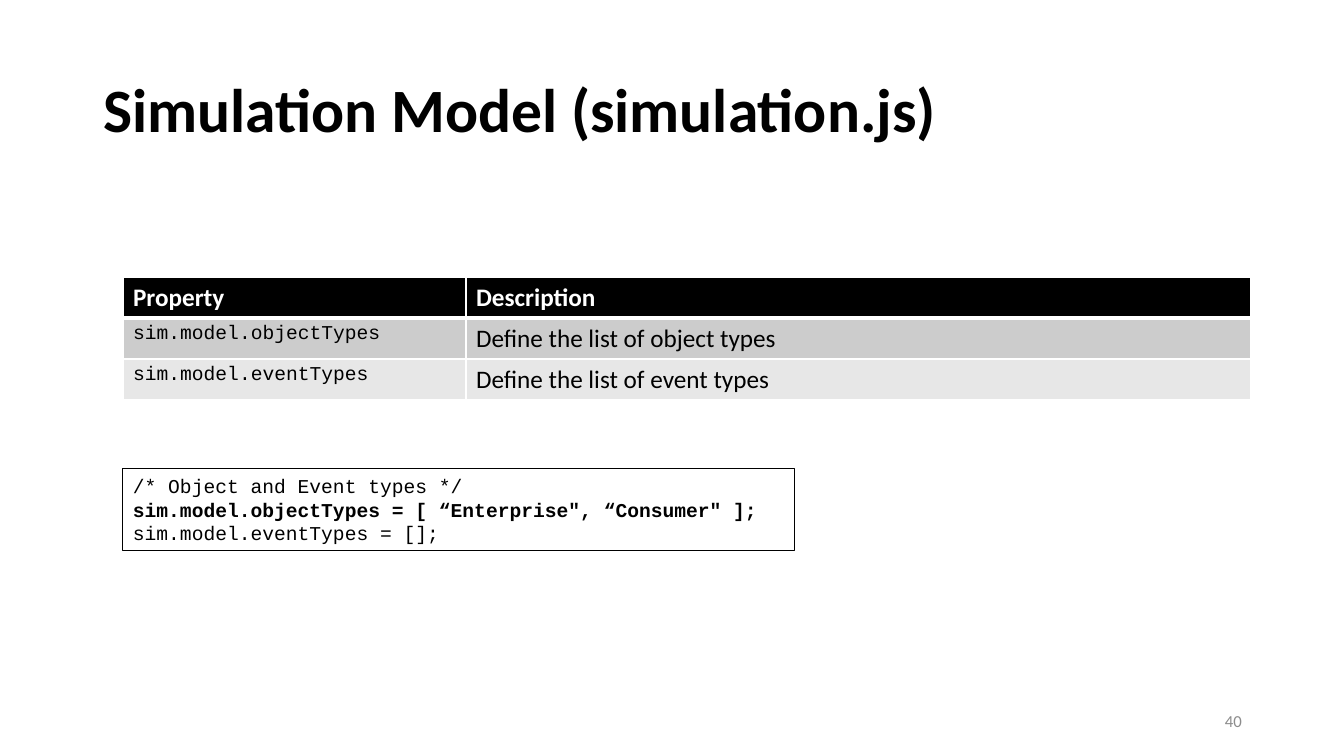
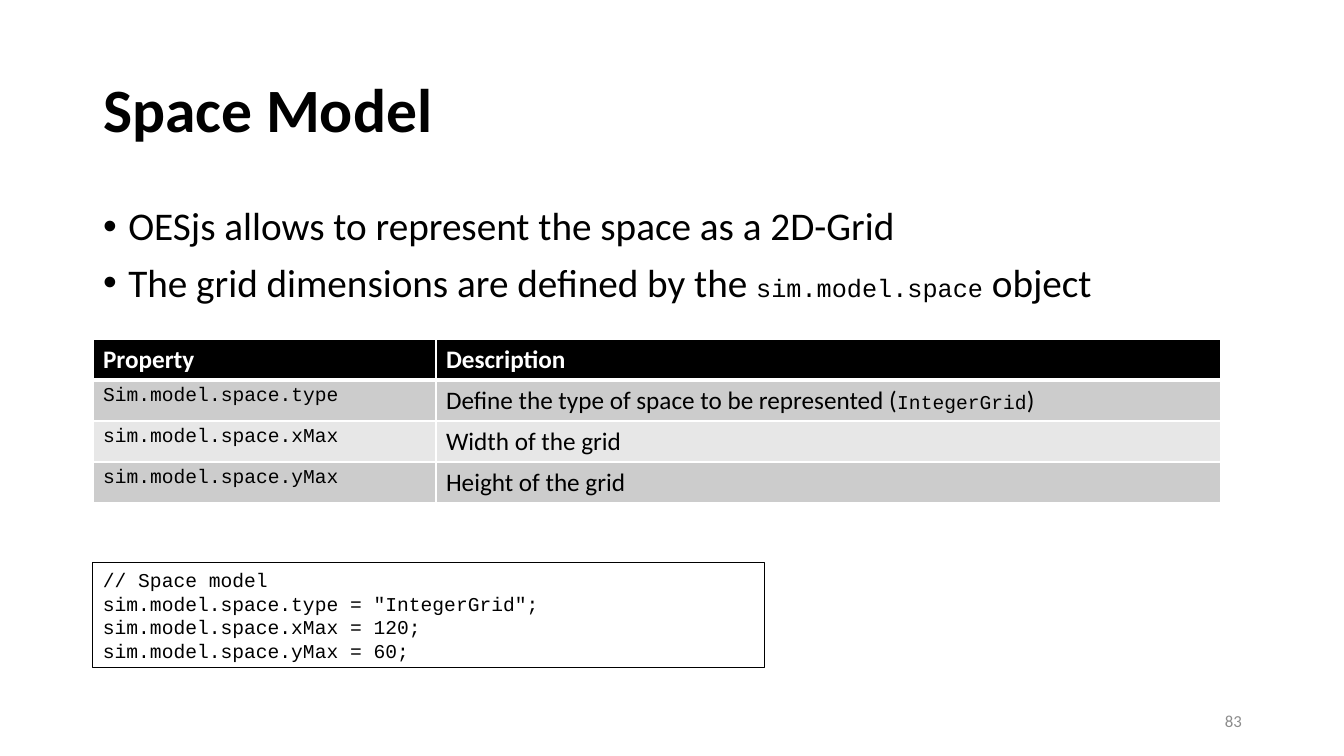
from lxml import etree
from pptx import Presentation, util as u
from pptx.dml.color import RGBColor
from pptx.enum import shapes, text
from pptx.oxml import ns

# Shared scale, colours and character formats
PX = 914400 / 100.8
SLIDE_W, SLIDE_H = 1344, 756
BLACK = RGBColor(0x00, 0x00, 0x00)
WHITE = RGBColor(0xFF, 0xFF, 0xFF)
GREY = RGBColor(0x8C, 0x8C, 0x8C)
BANDS = [RGBColor(0xCC, 0xCC, 0xCC), RGBColor(0xE7, 0xE7, 0xE7)]

TITLE = dict(name="Calibri", size=u.Pt(44), bold=True, color=BLACK)
BODY = dict(name="Calibri", size=u.Pt(28), bold=False, color=BLACK)
CELL = dict(BODY, size=u.Pt(18))
HEADER = dict(CELL, bold=True, color=WHITE)
CODE = dict(name="Courier New", size=u.Pt(14), bold=False, color=BLACK)
CODE_BOLD = dict(CODE, bold=True)
CODE_BODY = dict(CODE, size=u.Pt(18))
NUMBER = dict(BODY, size=u.Pt(12), color=GREY)

COLUMNS = [343, 785]
ROW_H = 41
CODE_LINE_H, CODE_PAD = 23, 13


def px(n):
    return u.Emu(round(n * PX))


def place(sp, x, y, w, h):
    for name, n in zip(("left", "top", "width", "height"), (x, y, w, h)):
        setattr(sp, name, px(n))


def set_runs(p, runs):
    for words, fmt in runs:
        r = p.add_run()
        r.text = words
        for key, value in fmt.items():
            if key == "color":
                r.font.color.rgb = value
            else:
                setattr(r.font, key, value)


def set_paragraphs(tf, paragraphs, **fmt):
    for i, runs in enumerate(paragraphs):
        p = tf.paragraphs[0] if i == 0 else tf.add_paragraph()
        for key, value in fmt.items():
            setattr(p, key, value)
        if i == 0:
            p.space_before = u.Pt(0)
        set_runs(p, runs)


def set_frame(tf, anchor, auto_size=text.MSO_AUTO_SIZE.NONE):
    for key, value in dict(word_wrap=True, auto_size=auto_size,
                           vertical_anchor=anchor).items():
        setattr(tf, key, value)


def set_borders(cell, widths):
    tcPr = cell._tc.get_or_add_tcPr()
    for i, (side, width) in enumerate(widths.items()):
        ln = etree.Element(ns.qn("a:ln" + side), w=str(u.Pt(width)))
        fill = etree.SubElement(ln, ns.qn("a:solidFill"))
        etree.SubElement(fill, ns.qn("a:srgbClr"), val=str(WHITE))
        tcPr.insert(i, ln)


# Title and slide number
def add_frame(s, title, number):
    sp = s.shapes.title
    place(sp, 93, 40, 1159, 146)
    set_frame(sp.text_frame, text.MSO_ANCHOR.MIDDLE)
    set_paragraphs(sp.text_frame, [[(title, TITLE)]],
                   alignment=text.PP_ALIGN.LEFT, line_spacing=0.9)

    sp = s.shapes.add_textbox(px(950), px(701), px(302), px(40))
    set_frame(sp.text_frame, text.MSO_ANCHOR.MIDDLE)
    set_paragraphs(sp.text_frame, [[(number, NUMBER)]],
                   alignment=text.PP_ALIGN.RIGHT)


# Bulleted list
def add_bullets(s, x, y, w, h, items):
    sp = s.placeholders[1]
    place(sp, x, y, w, h)
    tf = sp.text_frame
    set_frame(tf, text.MSO_ANCHOR.TOP)
    set_paragraphs(tf, items, line_spacing=0.9, space_before=u.Pt(10))
    for p in tf.paragraphs:
        pPr = p._p.get_or_add_pPr()
        pPr.set("marL", str(u.Inches(0.25)))
        pPr.set("indent", str(-u.Inches(0.25)))


# Property table
def add_properties(s, x, y, properties):
    rows = [([("Property", HEADER)], [("Description", HEADER)])]
    rows += [([(name, CODE)], runs) for name, runs in properties]
    table = s.shapes.add_table(len(rows), len(COLUMNS), px(x), px(y),
                               px(sum(COLUMNS)), px(ROW_H * len(rows))).table
    table.horz_banding = False
    for column, w in zip(table.columns, COLUMNS):
        column.width = px(w)
    for i, row in enumerate(rows):
        table.rows[i].height = px(ROW_H)
        for j, runs in enumerate(row):
            cell = table.cell(i, j)
            cell.fill.solid()
            cell.fill.fore_color.rgb = BANDS[(i - 1) % 2] if i else BLACK
            set_borders(cell, dict(L=1, R=1, T=3 if i == 1 else 1,
                                   B=3 if i == 0 else 1))
            set_runs(cell.text_frame.paragraphs[0], runs)


# Code listing in an outlined box, as tall as its lines
def add_code(s, x, y, lines):
    h = CODE_LINE_H * len(lines) + CODE_PAD
    sp = s.shapes.add_shape(shapes.MSO_SHAPE.RECTANGLE,
                            px(x), px(y), px(672), px(h))
    sp.shadow.inherit = False
    sp.fill.background()
    sp.line.color.rgb = BLACK
    sp.line.width = u.Pt(0.75)
    set_frame(sp.text_frame, text.MSO_ANCHOR.TOP,
              text.MSO_AUTO_SIZE.SHAPE_TO_FIT_TEXT)
    set_paragraphs(sp.text_frame, [[line] for line in lines],
                   alignment=text.PP_ALIGN.LEFT)


def simulation_model(prs):
    s = prs.slides.add_slide(prs.slide_layouts[5])
    add_frame(s, "Simulation Model (simulation.js)", "40")
    add_properties(s, 123, 277, [
        ("sim.model.objectTypes", [("Define the list of object types", CELL)]),
        ("sim.model.eventTypes", [("Define the list of event types", CELL)]),
    ])
    add_code(s, 123, 469, [
        ("/* Object and Event types */", CODE),
        ('sim.model.objectTypes = [ “Enterprise", “Consumer" ];', CODE_BOLD),
        ("sim.model.eventTypes = [];", CODE),
    ])


def space_model(prs):
    s = prs.slides.add_slide(prs.slide_layouts[1])
    add_frame(s, "Space Model", "83")
    add_bullets(s, 93, 202, 1159, 480, [
        [("OESjs allows to represent the space as a 2D-Grid", BODY)],
        [("The grid dimensions are defined by the ", BODY),
         ("sim.model.space", CODE_BODY), (" object", BODY)],
    ])
    add_properties(s, 93, 339, [
        ("Sim.model.space.type",
         [("Define the type of space to be represented (", CELL),
          ("IntegerGrid", CODE), (")", CELL)]),
        ("sim.model.space.xMax", [("Width of the grid", CELL)]),
        ("sim.model.space.yMax", [("Height of the grid", CELL)]),
    ])
    add_code(s, 93, 563, [
        ("// Space model", CODE),
        ('sim.model.space.type = "IntegerGrid";', CODE),
        ("sim.model.space.xMax = 120;", CODE),
        ("sim.model.space.yMax = 60;", CODE),
    ])


def main():
    prs = Presentation()
    prs.slide_width, prs.slide_height = px(SLIDE_W), px(SLIDE_H)
    simulation_model(prs)
    space_model(prs)
    prs.save("out.pptx")


if __name__ == "__main__":
    main()
